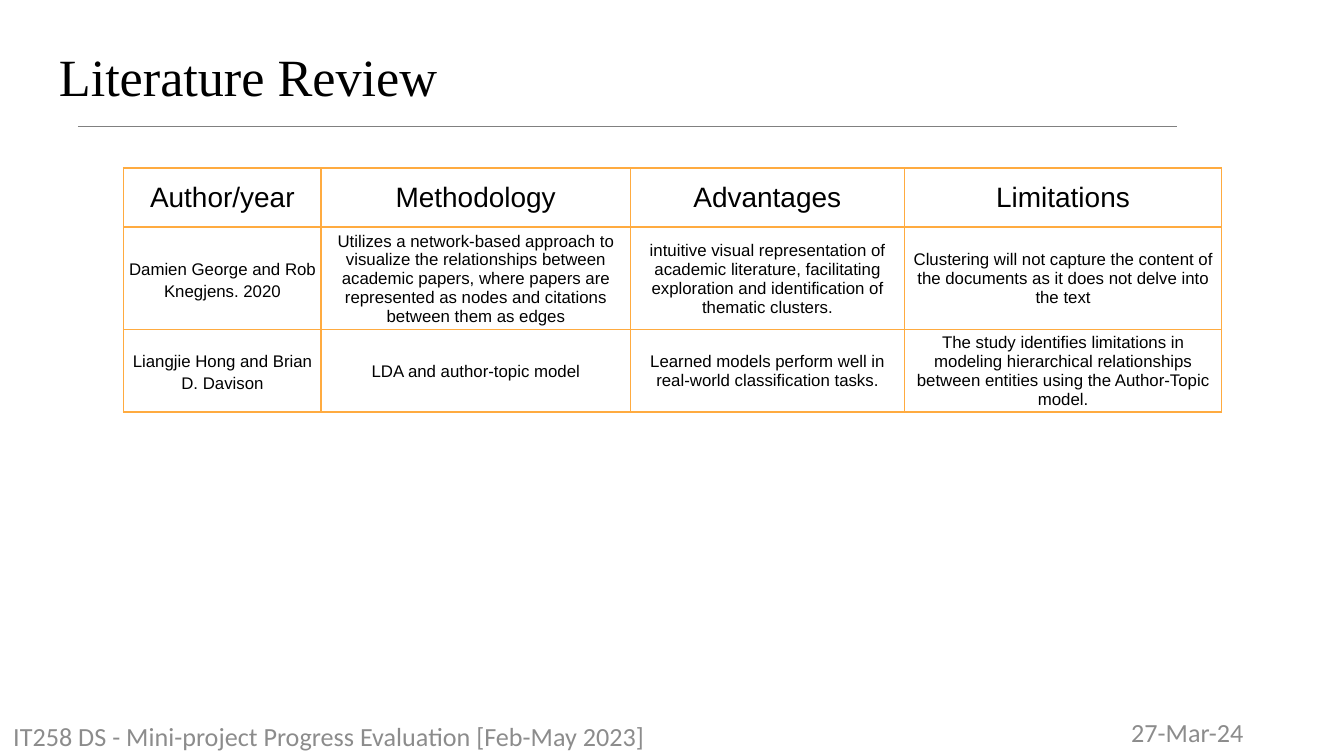
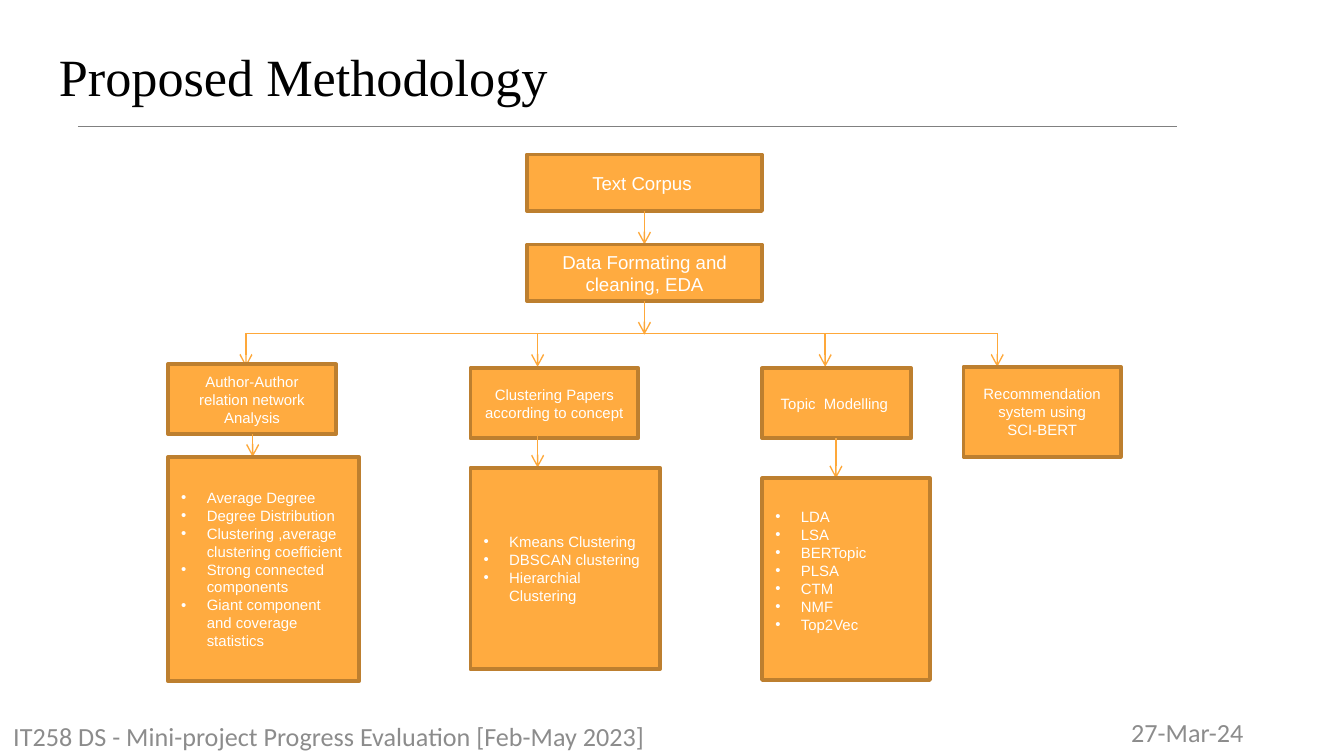
from pptx import Presentation
from pptx.dml.color import RGBColor
from pptx.enum.shapes import MSO_CONNECTOR as CONN, MSO_SHAPE as SHAPE
from pptx.enum.text import MSO_ANCHOR as ANCHOR, PP_ALIGN as ALIGN
from pptx.oxml.ns import qn
from pptx.util import Inches, Pt
from lxml.etree import SubElement

W = 10
H = W * 9 / 16
BLACK, WHITE, GREY, RULE = "000000", "FFFFFF", "8C8C8C", "808080"
ORANGE, BROWN, ARROW = "FFAB40", "BD7F2F", "FEA83A"

FOOTER = "IT258 DS - Mini-project Progress Evaluation [Feb-May 2023]"
DATE = "27-Mar-24"

REVIEW = [
    ("Author/year", "Methodology", "Advantages", "Limitations"),
    ("Damien George and Rob Knegjens. 2020",
     "Utilizes a network-based approach to visualize the relationships between academic "
     "papers, where papers are represented as nodes and citations between them as edges",
     "intuitive visual representation of academic literature, facilitating exploration "
     "and identification of thematic clusters.",
     "Clustering will not capture the content of the documents as it does not delve "
     "into the text"),
    ("Liangjie Hong and Brian D. Davison",
     "LDA and author-topic model",
     "Learned models perform well in real-world classification tasks.",
     "The study identifies limitations in modeling hierarchical relationships between "
     "entities using the Author-Topic model."),
]
COL_WIDTHS = (1.47, 2.3, 2.04, 2.36)
ROW_HEIGHTS = (0.44, 0.39, 0.39)

STAGES = ["Text Corpus ", "Data Formating and cleaning, EDA"]
STAGE_X, STAGE_Y, STAGE_W, STAGE_H, STAGE_GAP = 3.92, 1.15, 1.75, 0.42, 0.25
BUS_Y = 2.48

# arrow x, heading lines, heading box, arrow to the list (x, y), list box, list bottom inset, items
BRANCHES = [
    (1.83, ["Author-Author relation network Analysis"], (1.25, 2.71, 1.25, 0.52),
     (1.88, 3.23), (1.25, 3.4, 1.42, 1.67), 0.05,
     ["Average Degree", "Degree Distribution", "Clustering ,average clustering coefficient",
      "Strong connected components", "Giant component and coverage statistics"]),
    (4, ["Clustering Papers according to concept "], (3.5, 2.74, 1.25, 0.52),
     (4, 3.23), (3.5, 3.48, 1.41, 1.5), 0.05,
     ["Kmeans Clustering", "DBSCAN clustering", "Hierarchial Clustering"]),
    (6.14, ["Topic  Modelling "], (5.67, 2.74, 1.11, 0.52),
     (6.22, 3.26), (5.67, 3.56, 1.25, 1.5), 0.18,
     ["LDA", "LSA", "BERTopic", "PLSA", "CTM", "NMF", "Top2Vec"]),
    (7.42, ["Recommendation", "system using", "SCI-BERT"], (7.17, 2.73, 1.17, 0.67),
     None, None, 0, []),
]


def rgb(color):
    return RGBColor.from_string(color)


def box(at):
    return [Inches(v) for v in at]


def write(tf, lines, size, color, font="Arial", align=ALIGN.CENTER, spacing=None, bullet=False):
    for i, line in enumerate(lines):
        p = tf.paragraphs[0] if i == 0 else tf.add_paragraph()
        p.alignment, p.line_spacing = align, spacing
        if bullet:
            pPr = p._p.get_or_add_pPr()
            pPr.set("marL", str(Inches(0.19)))
            pPr.set("indent", str(-Inches(0.19)))
            SubElement(pPr, qn("a:buFont"), typeface="Arial")
            SubElement(pPr, qn("a:buChar"), char="•")
        r = p.add_run()
        r.text = line
        for name, value in {"size": Pt(size), "name": font}.items():
            setattr(r.font, name, value)
        r.font.color.rgb = rgb(color)


def set_frame(tf, **fmt):
    for name, value in {"word_wrap": True, "vertical_anchor": ANCHOR.MIDDLE, **fmt}.items():
        setattr(tf, name, value)


def add_text(s, at, text, size, color, font, align=ALIGN.LEFT, **fmt):
    tf = s.shapes.add_textbox(*box(at)).text_frame
    set_frame(tf, **fmt)
    write(tf, [text], size, color, font, align)


def add_line(s, start, end, color=ARROW, width=0.75, arrow=True):
    c = s.shapes.add_connector(CONN.STRAIGHT, *box(start + end))
    c.line.color.rgb, c.line.width = rgb(color), Pt(width)
    if arrow:
        SubElement(c.line._get_or_add_ln(), qn("a:tailEnd"), type="arrow")
    SubElement(c._element.spPr, qn("a:effectLst"))


def add_box(s, at, lines, size, bottom=0.05, **fmt):
    sp = s.shapes.add_shape(SHAPE.RECTANGLE, *box(at))
    sp.shadow.inherit = False
    sp.fill.solid()
    sp.fill.fore_color.rgb = rgb(ORANGE)
    sp.line.color.rgb, sp.line.width = rgb(BROWN), Pt(2)
    set_frame(sp.text_frame, margin_bottom=Inches(bottom))
    write(sp.text_frame, lines, size, WHITE, **fmt)


def add_slide(prs, title, footer_width):
    s = prs.slides.add_slide(prs.slide_layouts[6])
    add_line(s, (0.58, 0.94), (8.76, 0.94), RULE, 0.5, arrow=False)
    inset = Inches(0.1)
    add_text(s, (0.34, 0.23, 9.32, 0.63), title, 28, BLACK, "Times New Roman",
             vertical_anchor=ANCHOR.TOP, margin_top=inset, margin_bottom=inset)
    add_text(s, (7.67, 5.32, 2.33, 0.25), DATE, 14, GREY, "Calibri", ALIGN.CENTER)
    add_text(s, (0, 5.32, footer_width, 0.31), FOOTER, 14, GREY, "Calibri")
    return s


def style_cell(cell):
    cell.fill.background()
    cell.vertical_anchor = ANCHOR.MIDDLE
    for side, inset in {"left": 0.01, "right": 0.01, "top": 0.01, "bottom": 0}.items():
        setattr(cell, f"margin_{side}", Inches(inset))
    tcPr = cell._tc.get_or_add_tcPr()
    for i, side in enumerate(("lnL", "lnR", "lnT", "lnB")):
        ln = tcPr.makeelement(qn(f"a:{side}"), {"w": str(Pt(1))})
        SubElement(SubElement(ln, qn("a:solidFill")), qn("a:srgbClr"), val=ORANGE)
        tcPr.insert(i, ln)


def review_slide(prs):
    s = add_slide(prs, "Literature Review", 5.92)
    at = (0.92, 1.25, sum(COL_WIDTHS), sum(ROW_HEIGHTS))
    table = s.shapes.add_table(len(REVIEW), len(COL_WIDTHS), *box(at)).table
    table.first_row = table.horz_banding = False
    for col, width in zip(table.columns, COL_WIDTHS):
        col.width = Inches(width)
    for row, height, texts in zip(table.rows, ROW_HEIGHTS, REVIEW):
        row.height = Inches(height)
        header = texts is REVIEW[0]
        for i, (cell, text) in enumerate(zip(row.cells, texts)):
            style_cell(cell)
            write(cell.text_frame, [text], 15 if header else 9, BLACK,
                  spacing=1.15 if i == 0 and not header else None)


def methodology_slide(prs):
    s = add_slide(prs, "Proposed Methodology", 6.25)
    mid = STAGE_X + STAGE_W / 2
    for i, stage in enumerate(STAGES):
        top = STAGE_Y + i * (STAGE_H + STAGE_GAP)
        bottom = top + STAGE_H
        add_box(s, (STAGE_X, top, STAGE_W, STAGE_H), [stage], 10)
        add_line(s, (mid, bottom), (mid, bottom + STAGE_GAP))
    add_line(s, (BRANCHES[0][0], BUS_Y), (BRANCHES[-1][0], BUS_Y), arrow=False)
    for x, heading, head_at, link, list_at, bottom, items in BRANCHES:
        add_line(s, (x, BUS_Y), (x, BUS_Y + 0.25))
        add_box(s, head_at, heading, 8)
        if items:
            add_line(s, link, (link[0], list_at[1]))
            add_box(s, list_at, items, 8, bottom, align=ALIGN.LEFT, bullet=True)


def main():
    prs = Presentation()
    prs.slide_width, prs.slide_height = Inches(W), Inches(H)
    review_slide(prs)
    methodology_slide(prs)
    prs.save("out.pptx")


if __name__ == "__main__":
    main()
